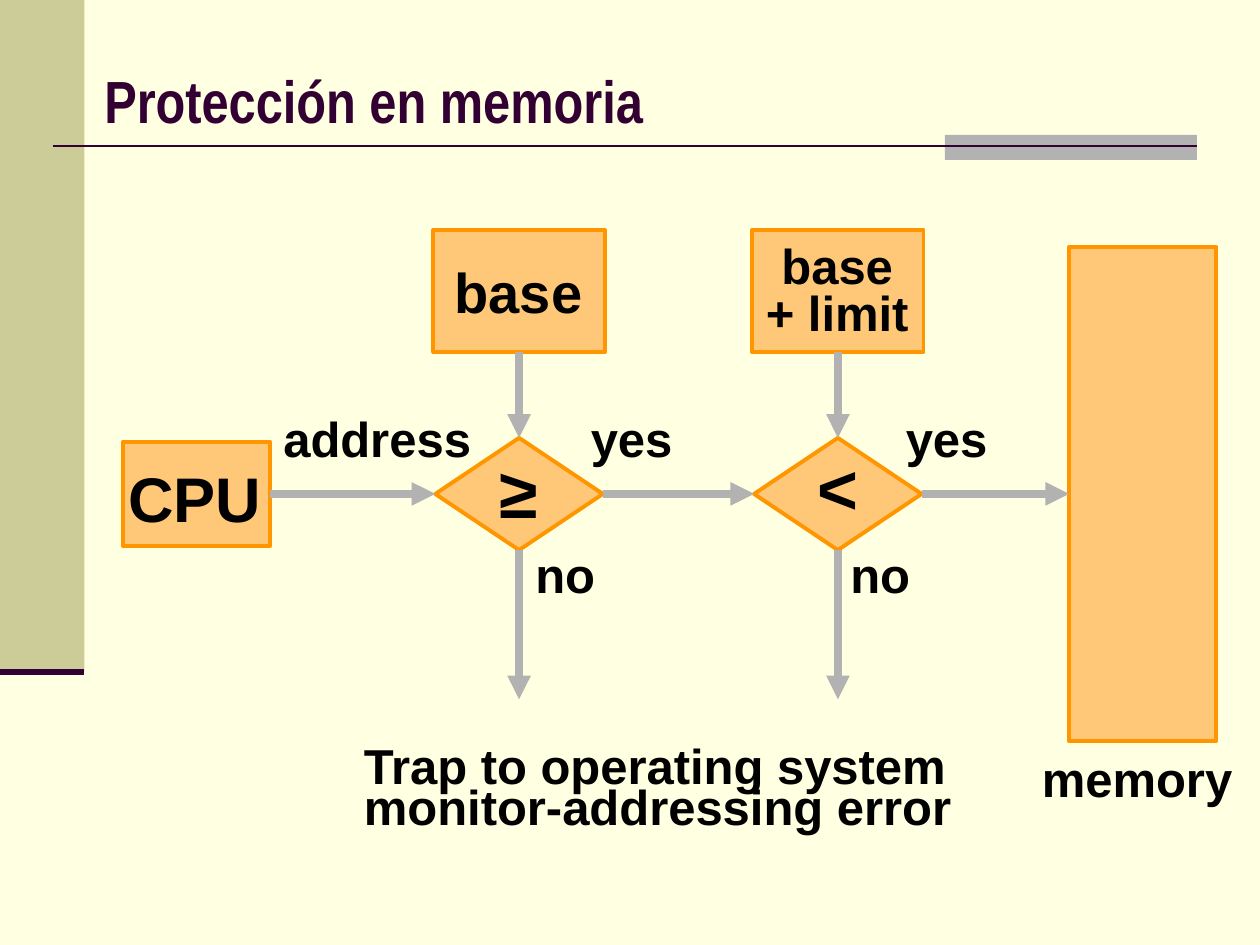
from dataclasses import dataclass

from lxml.etree import SubElement
from pptx import Presentation
from pptx.dml.color import RGBColor
from pptx.enum.shapes import MSO_CONNECTOR, MSO_SHAPE
from pptx.enum.text import MSO_ANCHOR, MSO_AUTO_SIZE, PP_ALIGN
from pptx.oxml.ns import qn
from pptx.shapes.autoshape import Shape
from pptx.shapes.connector import Connector
from pptx.slide import Slide
from pptx.util import Inches, Pt


@dataclass(frozen=True)
class Theme:
    background: str = "FFFFE1"
    band: str = "CCCC99"
    gray: str = "B2B2B2"
    dark: str = "330033"
    box_fill: str = "FFC878"
    box_line: str = "FF9600"
    text: str = "000000"
    font: str = "Arial"
    title_font: str = "Arial Narrow"
    title_size: int = 34
    label_size: int = 28
    base_size: int = 32
    cpu_size: int = 36
    symbol_size: int = 40
    box_width: float = 2.25
    arrow_width: float = 4.5


THEME = Theme()
TOP, LEFT, BOTTOM, RIGHT = range(4)

FLOW_Y = 3.92
REGISTER_Y = 2.31
TRAP_Y = 5.55
BASE_X, LIMIT_X = 4.12, 6.65


@dataclass(frozen=True)
class Node:
    center_x: float
    center_y: float
    width: float
    height: float
    kind: MSO_SHAPE = MSO_SHAPE.RECTANGLE


@dataclass(frozen=True)
class Label:
    lines: tuple[str, ...]
    left: float
    top: float
    width: float
    height: float
    size: int = THEME.label_size
    spacing: float = 0.7
    align: PP_ALIGN = PP_ALIGN.LEFT
    font: str = THEME.font
    color: str = THEME.text


def add_block(slide: Slide, kind: MSO_SHAPE, left: float, top: float,
              width: float, height: float, fill: str) -> Shape:
    shape = slide.shapes.add_shape(
        kind, Inches(left), Inches(top), Inches(width), Inches(height))
    shape.shadow.inherit = False
    shape.fill.solid()
    shape.fill.fore_color.rgb = RGBColor.from_string(fill)
    shape.line.fill.background()
    return shape


def add_node(slide: Slide, node: Node) -> Shape:
    shape = add_block(slide, node.kind, node.center_x - node.width / 2,
                      node.center_y - node.height / 2,
                      node.width, node.height, THEME.box_fill)
    shape.line.color.rgb = RGBColor.from_string(THEME.box_line)
    shape.line.width = Pt(THEME.box_width)
    return shape


def add_line(slide: Slide, start: tuple[float, float], end: tuple[float, float],
             color: str, width: float) -> Connector:
    connector = slide.shapes.add_connector(
        MSO_CONNECTOR.STRAIGHT, *(Inches(value) for value in start + end))
    connector.line.color.rgb = RGBColor.from_string(color)
    connector.line.width = Pt(width)
    SubElement(connector._element.spPr, qn("a:effectLst"))
    return connector


def add_arrow(slide: Slide, start: tuple[float, float],
              end: tuple[float, float]) -> Connector:
    connector = add_line(slide, start, end, THEME.gray, THEME.arrow_width)
    SubElement(connector.line._get_or_add_ln(), qn("a:tailEnd"), type="triangle")
    return connector


def join(slide: Slide, source: Shape, source_side: int,
         target: Shape, target_side: int) -> None:
    connector = add_arrow(slide, (0, 0), (0, 0))
    connector.begin_connect(source, source_side)
    connector.end_connect(target, target_side)


def add_label(slide: Slide, label: Label) -> None:
    shape = slide.shapes.add_textbox(Inches(label.left), Inches(label.top),
                                     Inches(label.width), Inches(label.height))
    frame = shape.text_frame
    frame.word_wrap = False
    frame.auto_size = MSO_AUTO_SIZE.SHAPE_TO_FIT_TEXT
    frame.vertical_anchor = MSO_ANCHOR.MIDDLE
    paragraph = frame.paragraphs[0]
    paragraph.alignment = label.align
    paragraph.line_spacing = label.spacing
    for index, line in enumerate(label.lines):
        if index:
            paragraph.add_line_break()
        run = paragraph.add_run()
        run.text = line
        run.font.name = label.font
        run.font.size = Pt(label.size)
        run.font.bold = True
        run.font.color.rgb = RGBColor.from_string(label.color)


def add_frame(slide: Slide) -> None:
    slide.background.fill.solid()
    slide.background.fill.fore_color.rgb = RGBColor.from_string(THEME.background)
    add_block(slide, MSO_SHAPE.RECTANGLE, 0, 0, 0.67, 5.33, THEME.band)
    add_block(slide, MSO_SHAPE.RECTANGLE, 7.5, 1.07, 2, 0.2, THEME.gray)
    add_line(slide, (0.42, 1.16), (9.5, 1.16), THEME.dark, 1.5)
    add_line(slide, (0, 5.33), (0.67, 5.33), THEME.dark, 3.5)
    add_label(slide, Label(("Protección en memoria",), 0.73, 0.44, 9, 0.71,
                           THEME.title_size, 1, font=THEME.title_font,
                           color=THEME.dark))


def add_diagram(slide: Slide) -> None:
    # Processor and memory at the two ends of the flow
    cpu = add_node(slide, Node(1.56, FLOW_Y, 1.17, 0.83))
    memory = add_node(slide, Node(9.07, FLOW_Y, 1.17, 3.92))

    # Each register feeds a decision, which traps when it fails
    decisions = []
    for center_x in (BASE_X, LIMIT_X):
        register = add_node(slide, Node(center_x, REGISTER_Y, 1.36, 0.97))
        decision = add_node(slide, Node(center_x, FLOW_Y, 1.33, 0.89,
                                        MSO_SHAPE.FLOWCHART_DECISION))
        join(slide, register, BOTTOM, decision, TOP)
        trap = add_arrow(slide, (center_x, FLOW_Y), (center_x, TRAP_Y))
        trap.begin_connect(decision, BOTTOM)
        decisions.append(decision)

    # Address path from left to right
    stages = [cpu, *decisions, memory]
    for source, target in zip(stages, stages[1:]):
        join(slide, source, RIGHT, target, LEFT)

    # Names inside the shapes
    center = PP_ALIGN.CENTER
    labels = [
        Label(("base", "+ limit"), 5.96, 1.91, 1.37, 0.85, spacing=0.8, align=center),
        Label(("base",), 3.47, 1.99, 1.29, 0.64, THEME.base_size, 1, center),
        Label(("CPU",), 0.88, 3.6, 1.33, 0.7, THEME.cpu_size, 1, center),
        Label(("≥",), 3.87, 3.51, 0.5, 0.77, THEME.symbol_size, 1, center),
        Label(("<",), 6.39, 3.48, 0.52, 0.77, THEME.symbol_size, 1, center),
        # Names beside the arrows and below the shapes
        Label(("address",), 2.15, 3.32, 1.69, 0.43),
        Label(("memory",), 8.17, 6.02, 1.71, 0.43),
        Label(("Trap to operating system", "monitor-addressing error"),
              2.79, 5.91, 4.86, 0.76),
    ]
    for offset in (0, 2.5):
        labels.append(Label(("yes",), 4.59 + offset, 3.32, 0.85, 0.43))
        labels.append(Label(("no",), 4.15 + offset, 4.4, 0.75, 0.43))
    for label in labels:
        add_label(slide, label)


def main() -> None:
    presentation = Presentation()
    presentation.slide_width = Inches(10)
    presentation.slide_height = Inches(7.5)
    slide = presentation.slides.add_slide(presentation.slide_layouts[6])
    add_frame(slide)
    add_diagram(slide)
    presentation.save("out.pptx")


if __name__ == "__main__":
    main()
